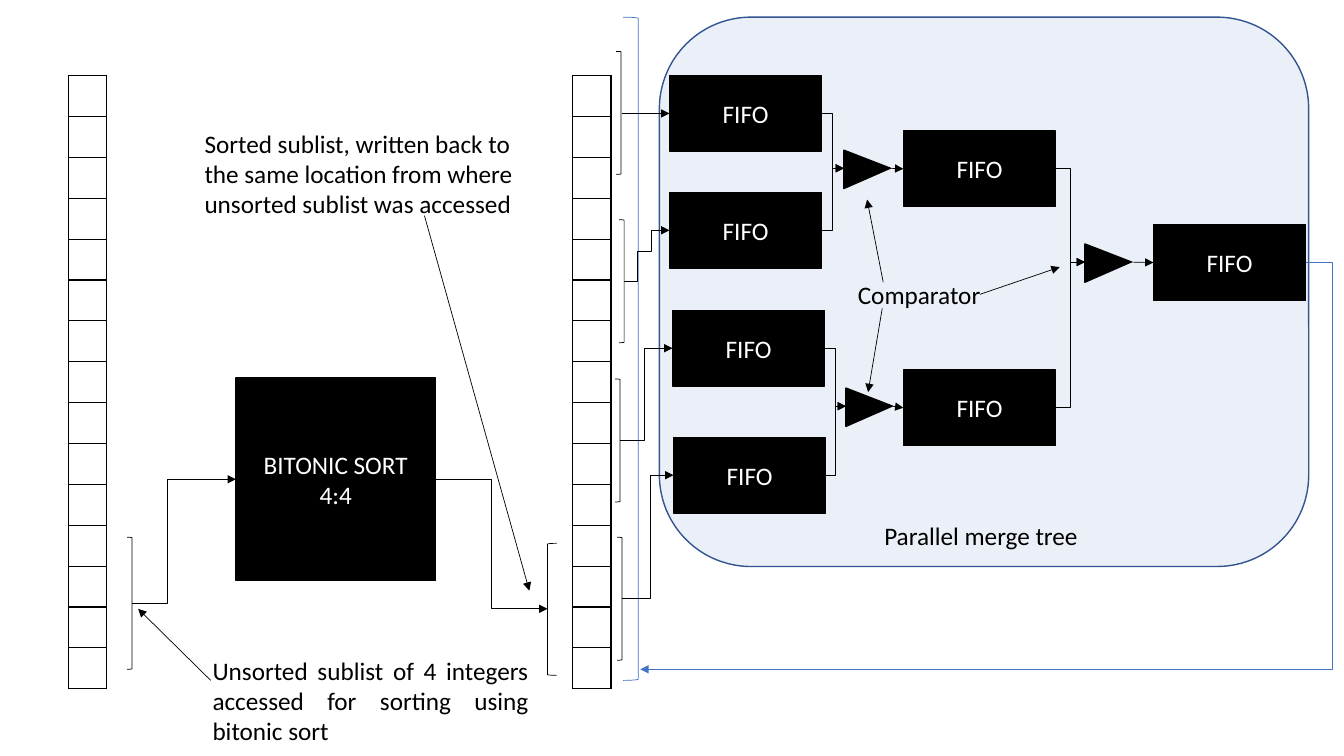
from lxml import etree
from pptx import Presentation
from pptx.dml.color import RGBColor
from pptx.enum.shapes import MSO_CONNECTOR, MSO_SHAPE
from pptx.enum.text import MSO_ANCHOR, MSO_AUTO_SIZE, PP_ALIGN
from pptx.oxml import parse_xml
from pptx.oxml.ns import nsdecls, qn
from pptx.util import Inches, Pt

RECT, ROUNDED, TRIANGLE = MSO_SHAPE.RECTANGLE, MSO_SHAPE.ROUNDED_RECTANGLE, MSO_SHAPE.ISOSCELES_TRIANGLE
LEFT_BRACKET, RIGHT_BRACKET = MSO_SHAPE.LEFT_BRACKET, MSO_SHAPE.RIGHT_BRACKET
STRAIGHT, ELBOW = MSO_CONNECTOR.STRAIGHT, MSO_CONNECTOR.ELBOW
LEFT, CENTER, JUSTIFY = PP_ALIGN.LEFT, PP_ALIGN.CENTER, PP_ALIGN.JUSTIFY
MIDDLE, FIT_SHAPE = MSO_ANCHOR.MIDDLE, MSO_AUTO_SIZE.SHAPE_TO_FIT_TEXT
BLACK, WHITE, BLUE, NAVY = "000000", "FFFFFF", "4472C4", "325491"
LEFT_SIDE, RIGHT_SIDE = 1, 3


def color(hex_code):
    return RGBColor.from_string(hex_code)


def add_shape(kind, box, fill, line, width):
    sp = slide.shapes.add_shape(kind, *map(Inches, box))
    sp.shadow.inherit = False
    if fill:
        sp.fill.solid()
        sp.fill.fore_color.rgb = color(fill)
    else:
        sp.fill.background()
    sp.line.color.rgb = color(line)
    sp.line.width = Pt(width)
    return sp


prs = Presentation()
prs.slide_width, prs.slide_height = Inches(13.33), Inches(7.5)
slide = prs.slides.add_slide(prs.slide_layouts[6])

# Merge tree background
panel = add_shape(ROUNDED, (6.54, 0.17, 6.44, 5.45), BLUE, NAVY, 1)
panel_color = panel.fill._xPr.find(qn("a:solidFill"))[0]
etree.SubElement(panel_color, qn("a:alpha"), val="10000")

# Memory columns before and after the bitonic sort
ROWS, ROW_HEIGHT = 15, 0.4
for left in (0.68, 5.68):
    frame = slide.shapes.add_table(ROWS, 1, Inches(left), Inches(0.75), Inches(0.38), Inches(ROWS * ROW_HEIGHT))
    table = frame.table
    table.first_row = table.horz_banding = False
    for row in table.rows:
        row.height = Inches(ROW_HEIGHT)
        cell = row.cells[0]
        tcPr = cell._tc.get_or_add_tcPr()
        for side in ("lnL", "lnR", "lnT", "lnB"):
            tcPr.append(parse_xml(
                f'<a:{side} {nsdecls("a")} w="12700"><a:solidFill>'
                f'<a:srgbClr val="{BLACK}"/></a:solidFill></a:{side}>'))
        cell.fill.background()

# Processing blocks
FIFO_SIZE = (1.51, 0.75)
block_boxes = {
    "sort": (2.34, 3.75, 1.98, 2.01),
    "in 1": (6.64, 0.75, *FIFO_SIZE),
    "in 2": (6.64, 1.91, *FIFO_SIZE),
    "in 3": (6.67, 3.08, *FIFO_SIZE),
    "in 4": (6.68, 4.34, *FIFO_SIZE),
    "mid 1": (8.96, 1.3, *FIFO_SIZE),
    "mid 2": (8.96, 3.67, *FIFO_SIZE),
    "out": (11.44, 2.23, *FIFO_SIZE),
}
blocks = {name: add_shape(RECT, box, BLACK, BLACK, 1) for name, box in block_boxes.items()}

# Comparators
for left, top in ((8.41, 1.45), (8.43, 3.81), (10.8, 2.38)):
    comparator = add_shape(TRIANGLE, (left, top, 0.38, 0.46), BLACK, BLACK, 1)
    comparator.adjustments[0] = 0.47
    comparator.rotation = 90

# Brackets around sublists and around the whole sorted column
for kind, box, line in (
    (RIGHT_BRACKET, (1.26, 5.33, 0.05, 1.31), BLACK),
    (LEFT_BRACKET, (5.43, 5.39, 0.09, 1.31), BLACK),
    (RIGHT_BRACKET, (6.11, 0.51, 0.05, 1.22), BLACK),
    (RIGHT_BRACKET, (6.14, 2.18, 0.05, 1.22), BLACK),
    (RIGHT_BRACKET, (6.1, 3.76, 0.05, 1.22), BLACK),
    (RIGHT_BRACKET, (6.12, 5.33, 0.05, 1.22), BLACK),
    (RIGHT_BRACKET, (6.18, 0.17, 0.15, 6.58), BLUE),
):
    add_shape(kind, box, None, line, 0.5)

# Arrows: each end is a point or a (block, side) pair; bends are shares of the span
for kind, start, end, bends, line in (
    (ELBOW, (1.31, 5.99), ("sort", LEFT_SIDE), [0.34], BLACK),
    (ELBOW, ("sort", RIGHT_SIDE), (5.43, 6.04), [0.5], BLACK),
    (ELBOW, (6.17, 1.12), ("in 1", LEFT_SIDE), [0.5], BLACK),
    (ELBOW, (6.19, 2.79), ("in 2", LEFT_SIDE), [0.29, 0.59, 0.61], BLACK),
    (ELBOW, (6.15, 4.37), ("in 3", LEFT_SIDE), [0.46], BLACK),
    (ELBOW, (6.17, 5.94), ("in 4", LEFT_SIDE), [0.55], BLACK),
    (ELBOW, ("in 1", RIGHT_SIDE), (8.37, 1.67), [0.5], BLACK),
    (ELBOW, ("in 2", RIGHT_SIDE), (8.37, 1.67), [0.5], BLACK),
    (ELBOW, ("in 3", RIGHT_SIDE), (8.39, 4.03), [0.5], BLACK),
    (ELBOW, ("in 4", RIGHT_SIDE), (8.39, 4.03), [0.5], BLACK),
    (STRAIGHT, (8.83, 1.67), ("mid 1", LEFT_SIDE), [], BLACK),
    (STRAIGHT, (8.85, 4.03), ("mid 2", LEFT_SIDE), [], BLACK),
    (ELBOW, ("mid 1", RIGHT_SIDE), (10.76, 2.6), [0.5], BLACK),
    (ELBOW, ("mid 2", RIGHT_SIDE), (10.76, 2.6), [0.5], BLACK),
    (STRAIGHT, (11.22, 2.6), ("out", LEFT_SIDE), [], BLACK),
    (ELBOW, ("out", RIGHT_SIDE), (6.35, 6.64), [-0.04], BLUE),
    (STRAIGHT, (2.09, 6.75), (1.37, 6.04), [], BLACK),
    (STRAIGHT, (4.21, 2.14), (5.25, 5.86), [], BLACK),
    (STRAIGHT, (8.76, 2.8), (8.6, 1.98), [], BLACK),
    (STRAIGHT, (8.75, 3.06), (8.61, 3.89), [], BLACK),
    (STRAIGHT, (9.72, 2.92), (10.51, 2.65), [], BLACK),
):
    start_glued, end_glued = start[0] in blocks, end[0] in blocks
    start_point = (0, 0) if start_glued else start
    end_point = (0, 0) if end_glued else end
    arrow = slide.shapes.add_connector(kind, *map(Inches, start_point + end_point))
    if start_glued:
        arrow.begin_connect(blocks[start[0]], start[1])
    if end_glued:
        arrow.end_connect(blocks[end[0]], end[1])
    arrow.line.color.rgb = color(line)
    arrow.line.width = Pt(0.5)
    etree.SubElement(arrow.line._get_or_add_ln(), qn("a:tailEnd"), type="triangle")
    spPr = arrow._element.spPr
    etree.SubElement(spPr, qn("a:effectLst"))
    if bends:
        geometry = spPr.find(qn("a:prstGeom"))
        geometry.set("prst", f"bentConnector{len(bends) + 2}")
        guides = geometry.find(qn("a:avLst"))
        for number, bend in enumerate(bends, 1):
            etree.SubElement(guides, qn("a:gd"), name=f"adj{number}", fmla=f"val {round(bend * 100000)}")

# Captions
labels = []
for box, text, align in (
    ((2.01, 6.45, 3.33, 1.01), "Unsorted sublist of 4 integers accessed for sorting using bitonic sort", JUSTIFY),
    ((1.93, 1.22, 3.35, 1.01),
     "Sorted sublist, written back to the same location from where unsorted sublist was accessed", LEFT),
    ((8.41, 2.72, 1.76, 0.4), "Comparator", LEFT),
    ((8.53, 5.11, 2.4, 0.4), "Parallel merge tree", CENTER),
):
    caption = slide.shapes.add_textbox(*map(Inches, box))
    caption.text_frame.auto_size = FIT_SHAPE
    labels.append((caption, text, align, BLACK))
for name, block in blocks.items():
    block.text_frame.vertical_anchor = MIDDLE
    labels.append((block, "BITONIC SORT\n4:4" if name == "sort" else "FIFO", CENTER, WHITE))

for sp, text, align, text_color in labels:
    tf = sp.text_frame
    tf.word_wrap = True
    p = tf.paragraphs[0]
    p.alignment = align
    for index, line in enumerate(text.split("\n")):
        if index:
            p.add_line_break()
        r = p.add_run()
        r.text = line
        r.font.name = "Calibri"
        r.font.size = Pt(18)
        r.font.color.rgb = color(text_color)

prs.save("out.pptx")
